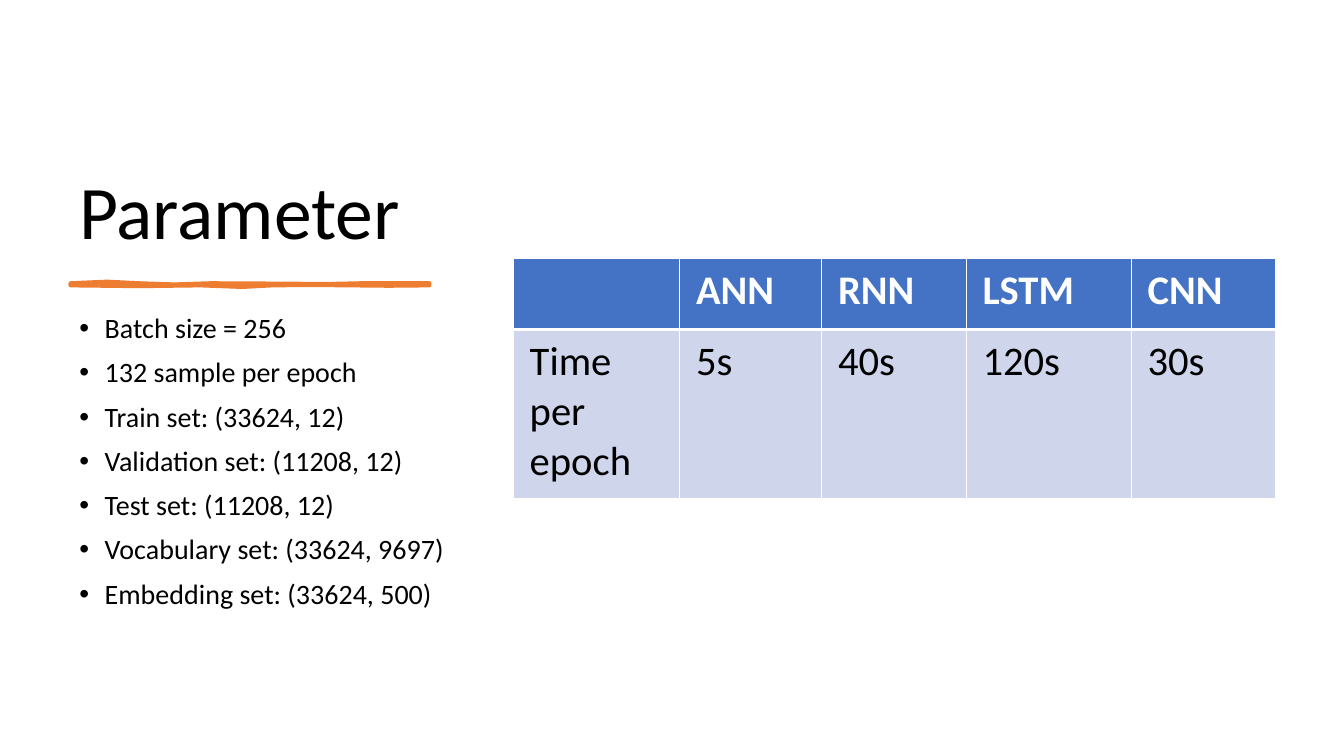
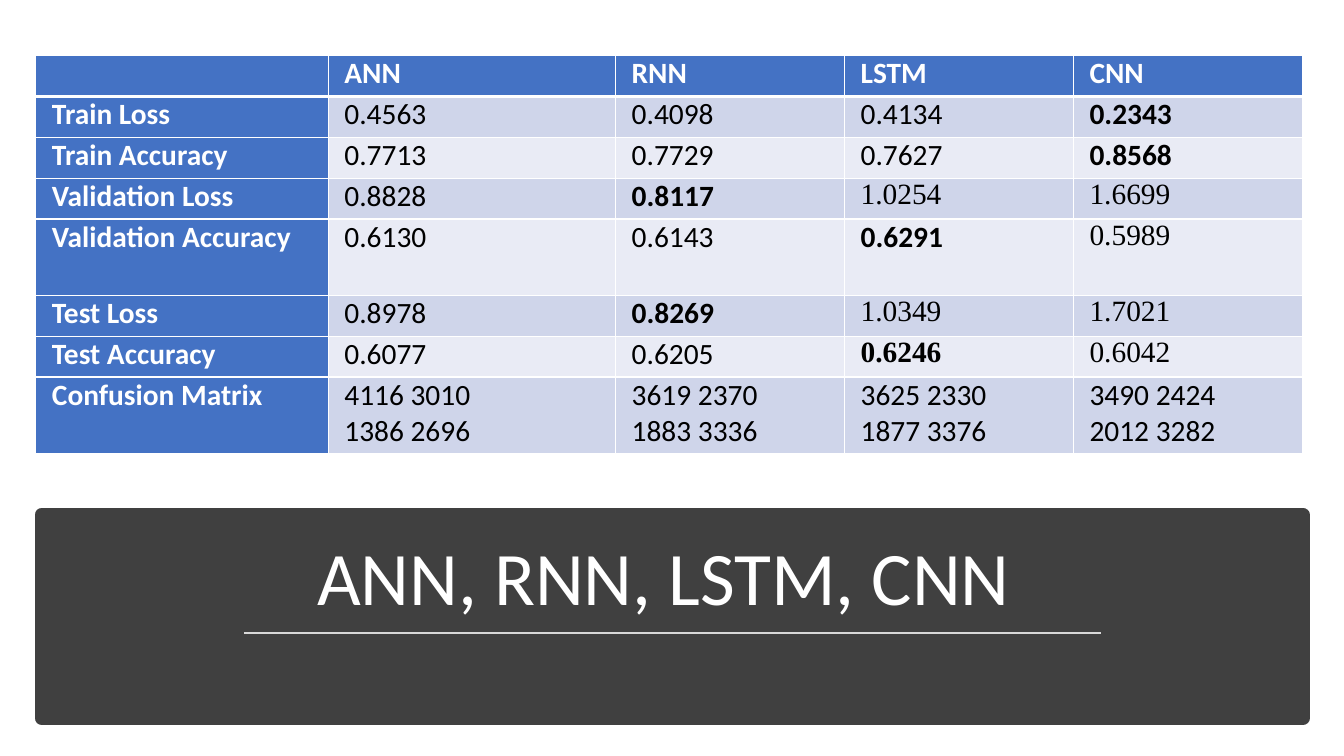
from lxml import etree
from pptx import Presentation
from pptx.dml.color import RGBColor
from pptx.enum import shapes, text
from pptx.oxml import ns
from pptx.util import Cm, Pt

COLOURS = {
    "ink": "000000", "paper": "FFFFFF", "accent": "ED7D31", "header": "4472C4",
    "band": "CFD5EA", "pale": "E9EBF5", "panel": "404040", "rule": "D9D9D9",
}
FONT, SERIF = "Calibri", "Times New Roman"
MODELS = ["ANN", "RNN", "LSTM", "CNN"]

SETTINGS = [
    "Batch size = 256", "132 sample per epoch", "Train set: (33624, 12)",
    "Validation set: (11208, 12)", "Test set: (11208, 12)",
    "Vocabulary set: (33624, 9697)", "Embedding set: (33624, 500)",
]
TIMES = [["", *MODELS], ["Time per epoch", "5s", "40s", "120s", "30s"]]
RESULTS = [
    ["", *MODELS],
    ["Train Loss", "0.4563", "0.4098", "0.4134", "0.2343"],
    ["Train Accuracy", "0.7713", "0.7729", "0.7627", "0.8568"],
    ["Validation Loss", "0.8828", "0.8117", "1.0254", "1.6699"],
    ["Validation Accuracy", "0.6130", "0.6143", "0.6291", "0.5989"],
    ["Test Loss", "0.8978", "0.8269", "1.0349", "1.7021"],
    ["Test Accuracy", "0.6077", "0.6205", "0.6246", "0.6042"],
    ["Confusion Matrix", "4116 3010\n1386 2696", "3619 2370\n1883 3336",
     "3625 2330\n1877 3376", "3490 2424\n2012 3282"],
]
# Cells as (row, column)
BEST = {(1, 4), (2, 4), (3, 2), (4, 3), (5, 2), (6, 3)}
SERIF_CELLS = {(3, 3), (3, 4), (4, 4), (5, 3), (5, 4), (6, 3), (6, 4)}

# Hand-drawn stroke, in cm, clockwise from the top left
STROKE = [
    (1.78, 7.14), (2.7, 7.1), (3.5, 7.14), (4.4, 7.17), (5.3, 7.14),
    (7.2, 7.15), (8.2, 7.16), (9.1, 7.14), (10.82, 7.14), (10.82, 7.19),
    (9.8, 7.2), (8.84, 7.19), (7.8, 7.18), (6.86, 7.19), (6.1, 7.23),
    (5.05, 7.19), (3.5, 7.21), (1.78, 7.19),
]


def colour(name):
    return RGBColor.from_string(COLOURS[name])


def add_run(paragraph, words, size, ink="ink", bold=False, font=FONT):
    run = paragraph.add_run()
    run.text = words
    run.font.name, run.font.size, run.font.bold = font, Pt(size), bold
    run.font.color.rgb = colour(ink)


def add_frame(slide, left, top, width, height):
    frame = slide.shapes.add_textbox(Cm(left), Cm(top), Cm(width), Cm(height)).text_frame
    frame.word_wrap = True
    return frame


def add_title(slide, words, box, ink="ink", align=text.PP_ALIGN.LEFT):
    frame = add_frame(slide, *box)
    frame.vertical_anchor = text.MSO_ANCHOR.BOTTOM
    heading = frame.paragraphs[0]
    heading.alignment, heading.line_spacing = align, 0.9
    add_run(heading, words, 54, ink)


def add_bullets(slide, items, box):
    frame = add_frame(slide, *box)
    for index, item in enumerate(items):
        entry = frame.add_paragraph() if index else frame.paragraphs[0]
        entry.line_spacing, entry.space_before = 0.9, Pt(10)
        props = entry._p.get_or_add_pPr()
        props.set("marL", str(Cm(0.64)))
        props.set("indent", str(-Cm(0.64)))
        etree.SubElement(props, ns.qn("a:buFont")).set("typeface", "Arial")
        etree.SubElement(props, ns.qn("a:buChar")).set("char", "•")
        add_run(entry, item, 20)


def paint(shape, name, line_width):
    shape.shadow.inherit = False
    shape.fill.solid()
    shape.fill.fore_color.rgb = shape.line.color.rgb = colour(name)
    shape.line.width = Pt(line_width)


def add_stroke(slide, points):
    start, *rest = [(Cm(x), Cm(y)) for x, y in points]
    outline = slide.shapes.build_freeform(*start)
    outline.add_line_segments(rest, close=True)
    paint(outline.convert_to_shape(), "accent", 3)


def add_rule(slide, left, right, y):
    rule = slide.shapes.add_connector(
        shapes.MSO_CONNECTOR.STRAIGHT, Cm(left), Cm(y), Cm(right), Cm(y))
    rule.line.color.rgb, rule.line.width = colour("rule"), Pt(1.75)
    etree.SubElement(rule._element.spPr, ns.qn("a:effectLst"))


def set_borders(cell, row):
    # The edge below the header row is thicker
    props = cell._tc.get_or_add_tcPr()
    thick = {"T": row == 1, "B": row == 0}
    for side in "LRTB":
        line = etree.SubElement(props, ns.qn(f"a:ln{side}"))
        line.set("w", str(Pt(3 if thick.get(side) else 1)))
        fill = etree.SubElement(line, ns.qn("a:solidFill"))
        etree.SubElement(fill, ns.qn("a:srgbClr")).set("val", COLOURS["paper"])


def add_grid(slide, rows, corner, widths, heights, size, pad, align,
             header_column=False, bold=(), serif=()):
    left, top = map(Cm, corner)
    grid = slide.shapes.add_table(len(rows), len(widths), left, top,
                                  Cm(sum(widths)), Cm(sum(heights))).table
    grid.horz_banding = False
    for column, width in zip(grid.columns, widths):
        column.width = Cm(width)
    for r, (values, height) in enumerate(zip(rows, heights)):
        grid.rows[r].height = Cm(height)
        for c, value in enumerate(values):
            cell = grid.cell(r, c)
            header = r == 0 or (header_column and c == 0)
            cell.margin_left = cell.margin_right = Cm(0.41)
            cell.margin_top = cell.margin_bottom = Cm(pad)
            set_borders(cell, r)
            cell.fill.solid()
            cell.fill.fore_color.rgb = colour(
                "header" if header else "band" if r % 2 else "pale")
            for index, words in enumerate(value.split("\n") if value else []):
                frame = cell.text_frame
                line = frame.add_paragraph() if index else frame.paragraphs[0]
                line.alignment = align
                add_run(line, words, size, "paper" if header else "ink",
                        header or (r, c) in bold, SERIF if (r, c) in serif else FONT)


def build_parameters(slide):
    add_title(slide, "Parameter", (1.75, 1.78, 9.53, 4.78))
    add_stroke(slide, STROKE)
    add_bullets(slide, SETTINGS, (1.75, 7.8, 10.24, 9.47))
    add_grid(slide, TIMES, (12.94, 6.5), [4.19, 3.58, 3.64, 4.16, 3.63],
             [1.8, 4.27], 29, 0.2, text.PP_ALIGN.LEFT)


def build_results(slide):
    # Title panel
    panel = slide.shapes.add_shape(shapes.MSO_SHAPE.RECTANGLE,
                                   Cm(1.05), Cm(12.97), Cm(31.78), Cm(5.13))
    paint(panel, "panel", 10)
    add_title(slide, "ANN, RNN, LSTM, CNN ", (1.47, 13.2, 30.94, 2.6),
              "paper", text.PP_ALIGN.CENTER)
    add_rule(slide, 6.15, 27.74, 15.95)
    # Scores per model
    heights = [1.92 if row in (4, 7) else 1.03 for row in range(len(RESULTS))]
    add_grid(slide, RESULTS, (0.9, 1.4), [7.37, 7.24] + [5.77] * 3, heights,
             21, 0, text.PP_ALIGN.JUSTIFY, True, BEST, SERIF_CELLS)


def main():
    deck = Presentation()
    deck.slide_width, deck.slide_height = Cm(33.87), Cm(19.05)
    for build in (build_parameters, build_results):
        build(deck.slides.add_slide(deck.slide_layouts[6]))
    deck.save("out.pptx")


if __name__ == "__main__":
    main()
